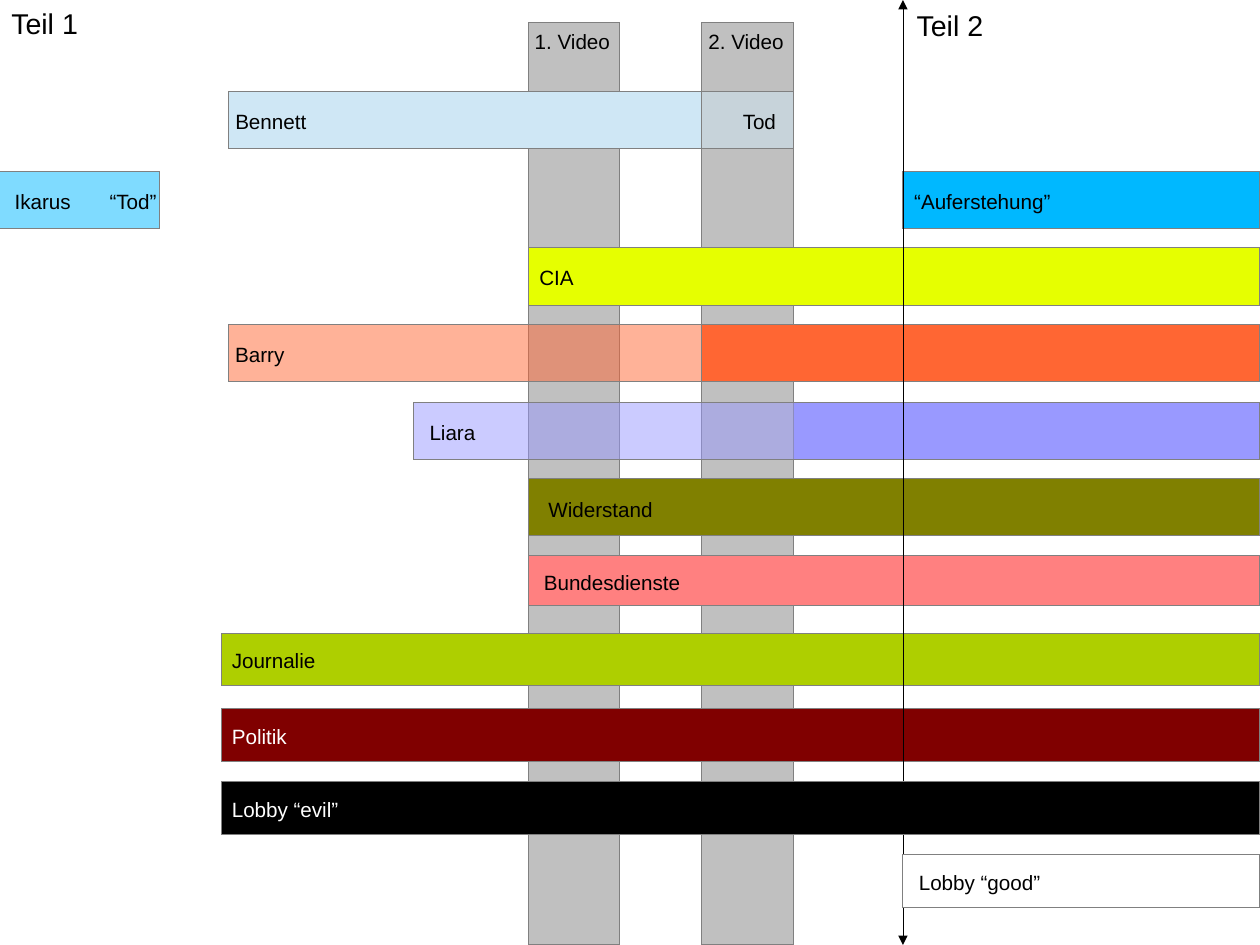
from lxml import etree
from pptx import Presentation
from pptx.dml.color import RGBColor
from pptx.enum.shapes import MSO_CONNECTOR, MSO_SHAPE
from pptx.enum.text import MSO_AUTO_SIZE
from pptx.oxml.ns import qn
from pptx.util import Inches, Pt

RECTANGLE = MSO_SHAPE.RECTANGLE
STRAIGHT = MSO_CONNECTOR.STRAIGHT
FIT_SHAPE = MSO_AUTO_SIZE.SHAPE_TO_FIT_TEXT

BLACK = RGBColor(0x00, 0x00, 0x00)
WHITE = RGBColor(0xFF, 0xFF, 0xFF)
OUTLINE = RGBColor(0x80, 0x80, 0x80)
VIDEO_GRAY = RGBColor(0xC0, 0xC0, 0xC0)
PALE_BLUE = RGBColor(0xCF, 0xE7, 0xF5)
SKY_BLUE = RGBColor(0x00, 0xB8, 0xFF)
YELLOW = RGBColor(0xE6, 0xFF, 0x00)
ORANGE = RGBColor(0xFF, 0x66, 0x33)
LAVENDER = RGBColor(0x99, 0x99, 0xFF)
OLIVE = RGBColor(0x80, 0x80, 0x00)
SALMON = RGBColor(0xFF, 0x80, 0x80)
LIME = RGBColor(0xAE, 0xCF, 0x00)
MAROON = RGBColor(0x80, 0x00, 0x00)

# A page of 28 by 21 centimetres, in inches
PAGE_WIDTH, PAGE_HEIGHT = 28 / 2.54, 21 / 2.54

# Moments on the time axis and bar sizes
GROUPS_START, PEOPLE_START, LIARA_START = 1.94, 2, 3.62
VIDEO_1, VIDEO_2, VIDEO_WIDTH = 4.62, 6.14, 0.8
VIDEO_2_END = VIDEO_2 + VIDEO_WIDTH
PART_2 = 7.9
VIDEO_TOP = 0.2
VIDEO_HEIGHT = PAGE_HEIGHT - VIDEO_TOP
TALL, LOW = 0.5, 0.46
HAIRLINE = Pt(0.01)

deck = Presentation()
deck.slide_width = Inches(PAGE_WIDTH)
deck.slide_height = Inches(PAGE_HEIGHT)
page = deck.slides.add_slide(deck.slide_layouts[6])


def add_bar(start, end, top, height, color, opacity=100):
    bar = page.shapes.add_shape(RECTANGLE, Inches(start), Inches(top),
                                Inches(end - start), Inches(height))
    bar.shadow.inherit = False
    bar.fill.solid()
    bar.fill.fore_color.rgb = color
    bar.line.color.rgb = OUTLINE
    bar.line.width = HAIRLINE
    if opacity < 100:
        solid_color = bar.fill._xPr.find(qn("a:solidFill"))[0]
        etree.SubElement(solid_color, qn("a:alpha"), val=str(opacity * 1000))


def add_label(text, left, top, width, size=13, color=BLACK):
    box = page.shapes.add_textbox(Inches(left), Inches(top),
                                  Inches(width), Inches(0.3))
    frame = box.text_frame
    frame.word_wrap = False
    frame.auto_size = FIT_SHAPE
    frame.text = text
    font = frame.paragraphs[0].runs[0].font
    font.name = "Arial"
    font.size = Pt(size)
    font.color.rgb = color


# Video columns and bars, from back to front
for bar in (
    (VIDEO_2, VIDEO_2_END, VIDEO_TOP, VIDEO_HEIGHT, VIDEO_GRAY),
    (PEOPLE_START + VIDEO_WIDTH, VIDEO_2_END, 0.8, TALL, PALE_BLUE, 50),
    (VIDEO_2_END, PAGE_WIDTH, 3.52, TALL, LAVENDER),
    (VIDEO_1, VIDEO_1 + VIDEO_WIDTH, VIDEO_TOP, VIDEO_HEIGHT, VIDEO_GRAY),
    (PEOPLE_START, VIDEO_2, 0.8, TALL, PALE_BLUE),
    (VIDEO_1, PAGE_WIDTH, 2.17, TALL, YELLOW),
    (0, 1.4, 1.5, TALL, SKY_BLUE, 50),
    (PART_2, PAGE_WIDTH, 1.5, TALL, SKY_BLUE),
    (PEOPLE_START, PAGE_WIDTH, 2.84, TALL, ORANGE, 50),
    (LIARA_START, PAGE_WIDTH, 3.52, TALL, LAVENDER, 50),
    (VIDEO_1, PAGE_WIDTH, 4.19, TALL, OLIVE),
    (VIDEO_1, PAGE_WIDTH, 4.86, 0.44, SALMON),
    (VIDEO_2, PAGE_WIDTH, 2.84, TALL, ORANGE),
    (GROUPS_START, PAGE_WIDTH, 5.54, LOW, LIME),
    (GROUPS_START, PAGE_WIDTH, 6.2, LOW, MAROON),
):
    add_bar(*bar)

# Divider between the two parts, with an arrowhead at each end
divider = page.shapes.add_connector(STRAIGHT, Inches(PART_2), 0,
                                    Inches(PART_2), Inches(PAGE_HEIGHT))
divider.line.color.rgb = BLACK
divider.line.width = HAIRLINE
line_xml = divider.line._get_or_add_ln()
for end_tag in ("a:headEnd", "a:tailEnd"):
    etree.SubElement(line_xml, qn(end_tag), type="triangle")
etree.SubElement(divider._element.spPr, qn("a:effectLst"))

# Lobby bars in front of the divider
add_bar(GROUPS_START, PAGE_WIDTH, 6.84, LOW, BLACK)
add_bar(PART_2, PAGE_WIDTH, 7.48, LOW, WHITE)

# Labels
for label in (
    ("Teil 1", 0, 0, 0.82, 18),
    ("Teil 2", 7.92, 0.02, 0.82, 18),
    ("1. Video", 4.58, 0.2, 0.9),
    ("2. Video", 6.1, 0.2, 0.9),
    ("Bennett", 1.96, 0.9, 0.82),
    ("Tod", 6.4, 0.9, 0.49),
    ("Ikarus", 0.03, 1.6, 0.69),
    ("“Tod”", 0.86, 1.6, 0.61),
    ("“Auferstehung”", 7.9, 1.6, 1.39),
    ("CIA", 4.62, 2.27, 0.5),
    ("Barry", 1.96, 2.94, 0.63),
    ("Liara", 3.66, 3.62, 0.6),
    ("Widerstand", 4.7, 4.3, 1.11),
    ("Bundesdienste", 4.66, 4.94, 1.39),
    ("Journalie", 1.93, 5.62, 0.93),
    ("Politik", 1.93, 6.28, 0.68, 13, WHITE),
    ("Lobby “evil”", 1.93, 6.92, 1.15, 13, WHITE),
    ("Lobby “good”", 7.94, 7.56, 1.28),
):
    add_label(*label)

deck.save("out.pptx")
